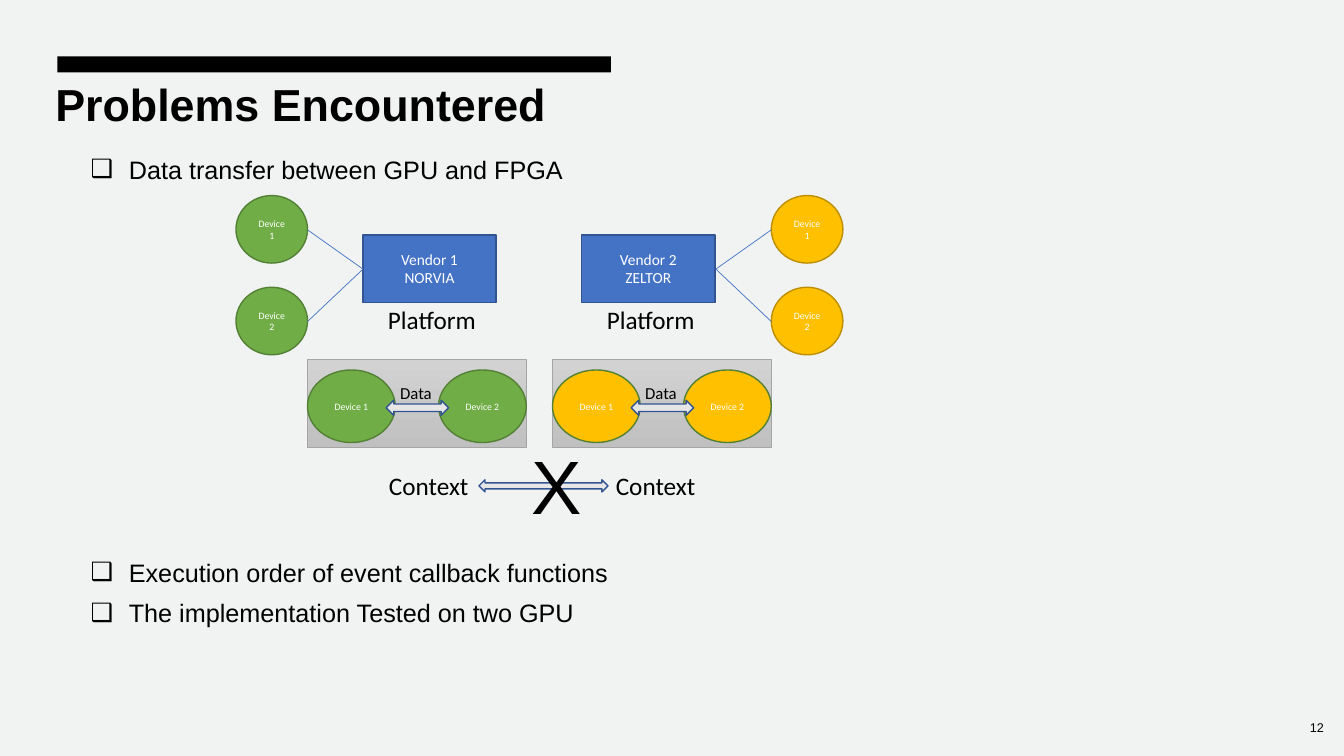
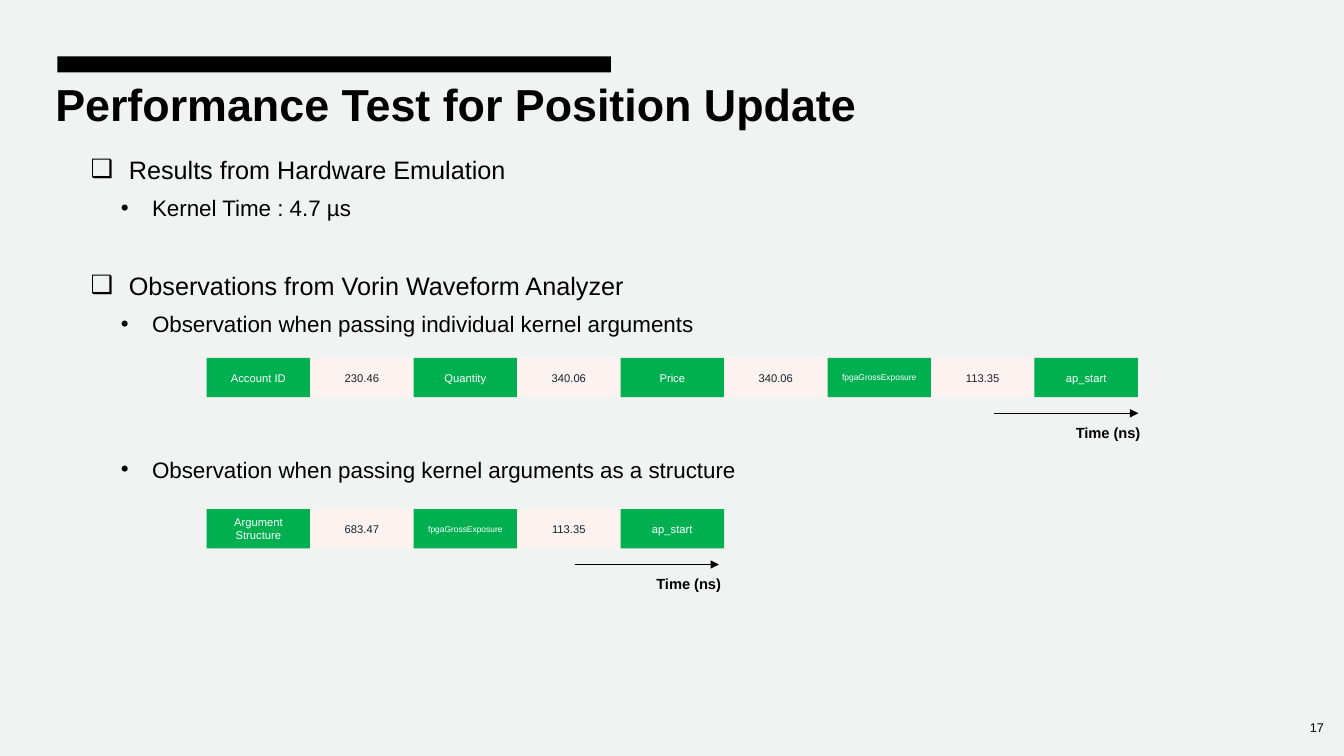
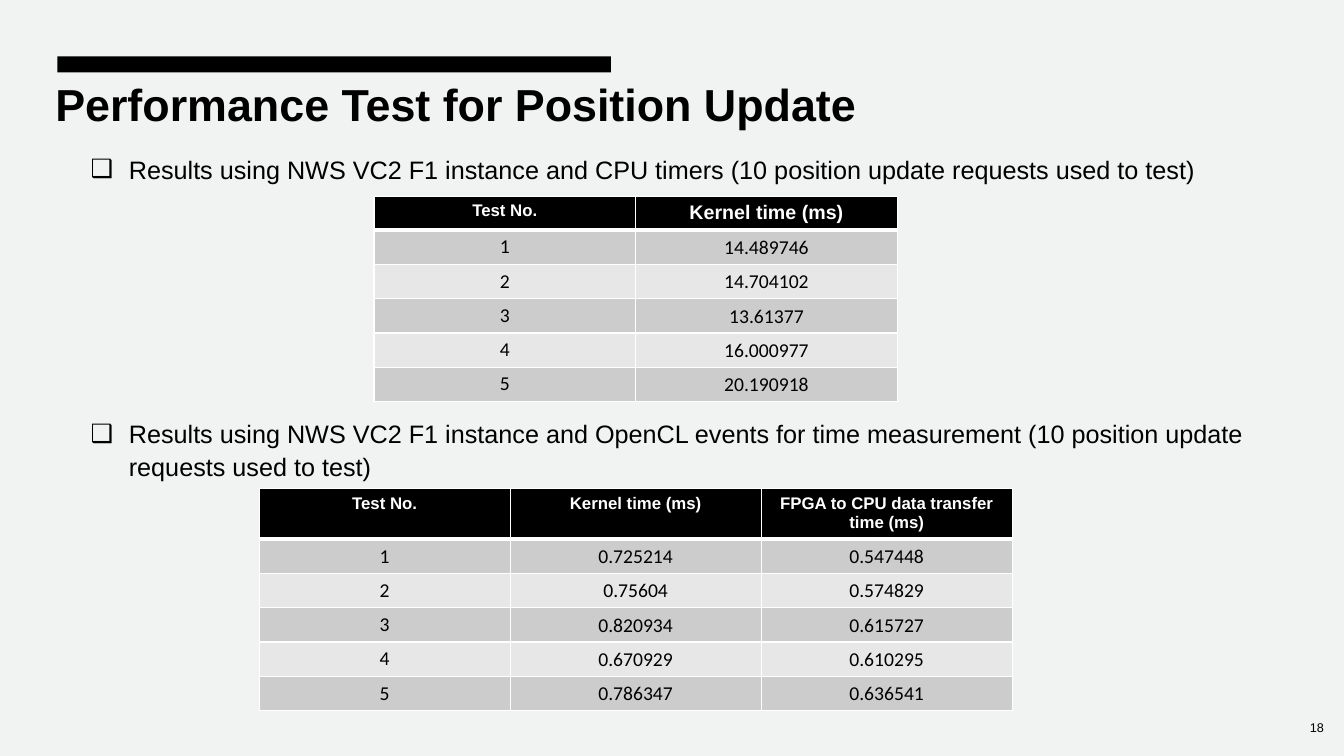
from lxml import etree
from pptx import Presentation
from pptx import util as u
from pptx.dml import color as dml
from pptx.enum import shapes, text
from pptx.oxml import ns

COLORS = {
    "page": "F0F3F1", "ink": "000000", "paper": "FFFFFF",
    "vendor": "4472C4", "vendor_edge": "325491", "arrow": "E7E6E6",
    "gpu": "70AD47", "gpu_edge": "538035",
    "fpga": "FFC000", "fpga_edge": "BD8E00",
    "frame_top": "D2D2D2", "frame_bottom": "C0C0C0", "frame_edge": "A5A5A5",
    "signal": "00B050", "delay": "FCF3F1", "delay_text": "16202C",
    "band_dark": "CCCCCC", "band_light": "E7E7E7",
}
FORMS = shapes.MSO_SHAPE
ALIGN = text.PP_ALIGN
ANCHOR = text.MSO_ANCHOR
BULLETS = {1: ("❑", 18, 0.68, -0.38), 2: ("•", 16, 0.91, -0.31)}
STEP = 8.21 / 8


def rgb(name):
    return dml.RGBColor.from_string(COLORS[name])


def inches(*lengths):
    return [u.Inches(length) for length in lengths]


def write(frame, content, size=18, font="Arial", color="ink", bold=False,
          align=ALIGN.LEFT, anchor=ANCHOR.TOP, wrap=True, spacing=None, inset=None):
    frame.word_wrap = wrap
    frame.vertical_anchor = anchor
    if inset is not None:
        frame.margin_left = frame.margin_right = u.Inches(inset)
        frame.margin_top = frame.margin_bottom = u.Inches(inset)
    for index, line in enumerate(content.split("\n")):
        paragraph = frame.paragraphs[0] if index == 0 else frame.add_paragraph()
        paragraph.alignment = align
        if spacing:
            paragraph.line_spacing = spacing
        run = paragraph.add_run()
        run.text = line
        run.font.size = u.Pt(size)
        run.font.name = font
        run.font.bold = bold
        run.font.color.rgb = rgb(color)


def label(slide, content, at, **style):
    box = slide.shapes.add_textbox(*inches(*at))
    write(box.text_frame, content, **style)


def block(slide, form, at, fill, edge=None, weight=1, content=None, **style):
    shape = slide.shapes.add_shape(form, *inches(*at))
    shape.shadow.inherit = False
    if isinstance(fill, tuple):
        shape.fill.gradient()
        shape.fill.gradient_angle = 270
        for stop, name in zip(shape.fill.gradient_stops, fill):
            stop.color.rgb = rgb(name)
    else:
        shape.fill.solid()
        shape.fill.fore_color.rgb = rgb(fill)
    if edge:
        shape.line.color.rgb = rgb(edge)
        shape.line.width = u.Pt(weight)
    else:
        shape.line.fill.background()
    if content:
        style = {"color": "paper", "align": ALIGN.CENTER, "anchor": ANCHOR.MIDDLE, **style}
        write(shape.text_frame, content, **style)


def link(slide, start, end, color, arrow=False):
    line = slide.shapes.add_connector(shapes.MSO_CONNECTOR.STRAIGHT, *inches(*start, *end))
    line.line.color.rgb = rgb(color)
    line.line.width = u.Pt(0.5)
    if arrow:
        etree.SubElement(line.line._get_or_add_ln(), ns.qn("a:tailEnd"), type="triangle")
    etree.SubElement(line._element.spPr, ns.qn("a:effectLst"))


def bullet_list(slide, items):
    frame = slide.shapes.add_textbox(*inches(0.5, 1.45, 12.33, 6.05)).text_frame
    for level, _, content in items:
        write(frame, content, size=BULLETS[level][1], spacing=1.1) \
            if not frame.text else add_item(frame, content, BULLETS[level][1])
    for paragraph, (level, gap, _) in zip(frame.paragraphs, items):
        mark, _, margin, indent = BULLETS[level]
        paragraph.space_before = u.Pt(gap)
        properties = paragraph._p.get_or_add_pPr()
        properties.set("marL", str(u.Inches(margin)))
        properties.set("indent", str(u.Inches(indent)))
        etree.SubElement(properties, ns.qn("a:buFont"), typeface="Arial")
        etree.SubElement(properties, ns.qn("a:buChar"), char=mark)


def add_item(frame, content, size):
    paragraph = frame.add_paragraph()
    paragraph.line_spacing = 1.1
    run = paragraph.add_run()
    run.text = content
    run.font.size = u.Pt(size)
    run.font.name = "Arial"
    run.font.color.rgb = rgb("ink")


def new_slide(deck, title, number, items):
    slide = deck.slides.add_slide(deck.slide_layouts[6])
    block(slide, FORMS.RECTANGLE, (0.57, 0.56, 5.49, 0.16), "ink")
    label(slide, title, (0.45, 0.71, 9.8, 0.81), size=32, bold=True)
    label(slide, number, (12.53, 7.02, 0.7, 0.4), size=9,
          align=ALIGN.RIGHT, anchor=ANCHOR.MIDDLE)
    bullet_list(slide, items)
    return slide


def device(slide, number, at, kind, edge):
    block(slide, FORMS.OVAL, at, kind, edge, content=f"Device {number}",
          size=7, font="Calibri")


def double_arrow(slide, at):
    block(slide, FORMS.LEFT_RIGHT_ARROW, at, "arrow", "vendor_edge")


def platform(slide, kind, vendor, vendor_left, device_left, vendor_side, device_side):
    block(slide, FORMS.RECTANGLE, (vendor_left, 2.33, 1.32, 0.67), "vendor", "vendor_edge",
          content=vendor, size=11, font="Calibri")
    for number, top in enumerate((1.94, 2.85), 1):
        device(slide, number, (device_left, top, 0.71, 0.67), kind, kind + "_edge")
        link(slide, (device_side, top + 0.34), (vendor_side, 2.67), "vendor")
    label(slide, "Platform", (vendor_left + 0.15, 2.97, 1.17, 0.4), font="Calibri")


def context(slide, kind, left, name_left):
    block(slide, FORMS.RECTANGLE, (left, 3.57, 2.17, 0.87),
          ("frame_top", "frame_bottom"), "frame_edge", 0.5)
    for number, offset in enumerate((0, 1.3), 1):
        device(slide, number, (left + offset, 3.67, 0.87, 0.72), kind, "gpu_edge")
    label(slide, "Data", (left + 0.82, 3.75, 0.52, 0.3), size=12, font="Calibri", wrap=False)
    double_arrow(slide, (left + 0.78, 3.97, 0.62, 0.15))
    label(slide, "Context", (name_left, 4.62, 1, 0.4), font="Calibri")


def timeline(slide, top, stages, arrow_left):
    for index, stage in enumerate(stages):
        fill, ink = ("delay", "delay_text") if index % 2 else ("signal", "paper")
        size = 6 if stage == "fpgaGrossExposure" else 8
        block(slide, FORMS.RECTANGLE, (2.05 + index * STEP, top, STEP, 0.39), fill,
              content=stage, size=size, color=ink)
    axis = top + 0.55
    label(slide, "Time (ns)", (arrow_left + 0.81, axis, 0.76, 0.39), size=10.5,
          bold=True, spacing=u.Pt(20), inset=0)
    link(slide, (arrow_left, axis), (arrow_left + 1.43, axis), "ink", arrow=True)


def border(cell, bottom):
    properties = cell._tc.get_or_add_tcPr()
    for side, points in (("L", 1), ("R", 1), ("T", 1), ("B", bottom)):
        edge = etree.SubElement(properties, ns.qn("a:ln" + side), w=str(u.Pt(points)))
        fill = etree.SubElement(edge, ns.qn("a:solidFill"))
        etree.SubElement(fill, ns.qn("a:srgbClr"), val=COLORS["paper"])


def fill_cell(cell, content, row, column, header_size):
    border(cell, 1 if row else 3)
    cell.fill.solid()
    if row == 0:
        cell.fill.fore_color.rgb = rgb("ink")
        style = {"size": header_size, "color": "paper", "bold": True}
    else:
        cell.fill.fore_color.rgb = rgb("band_dark" if row % 2 else "band_light")
        style = {"size": 14, "font": "Calibri"}
    if row and column:
        cell.vertical_anchor = ANCHOR.MIDDLE
        cell.margin_left = cell.margin_right = cell.margin_top = u.Inches(0.01)
        cell.margin_bottom = 0
    anchor = cell.vertical_anchor or ANCHOR.TOP
    write(cell.text_frame, content, align=ALIGN.CENTER, anchor=anchor, **style)


def results(slide, at, header_height, header_sizes, headers, *measures):
    rows = [headers] + [(str(number), *values)
                        for number, values in enumerate(zip(*measures), 1)]
    table = slide.shapes.add_table(len(rows), len(headers), *inches(*at)).table
    for row, values in enumerate(rows):
        table.rows[row].height = u.Inches(0.34 if row else header_height)
        for column, value in enumerate(values):
            fill_cell(table.cell(row, column), value, row, column, header_sizes[column])


def problems(deck):
    slide = new_slide(deck, "Problems Encountered", "12", [
        (1, 5, "Data transfer between GPU and FPGA"),
        (1, 264, "Execution order of event callback functions"),
        (1, 5, "The implementation Tested on two GPU"),
    ])
    platform(slide, "gpu", "Vendor 1\nNORVIA", 3.6, 2.34, 3.6, 3.05)
    platform(slide, "fpga", "Vendor 2\nZELTOR", 5.77, 7.65, 7.1, 7.65)
    context(slide, "gpu", 3.05, 3.76)
    context(slide, "fpga", 5.48, 6.01)
    double_arrow(slide, (4.75, 4.76, 1.28, 0.12))
    label(slide, "X", (5.17, 4.3, 0.7, 1.01), size=54, align=ALIGN.CENTER, wrap=False)


def emulation(deck):
    slide = new_slide(deck, "Performance Test for Position Update", "17", [
        (1, 5, "Results from Hardware Emulation"),
        (2, 5, "Kernel Time : 4.7 µs"),
        (1, 33, "Observations from Vorin Waveform Analyzer"),
        (2, 5, "Observation when passing individual kernel arguments"),
        (2, 83, "Observation when passing kernel arguments as a structure"),
    ])
    timeline(slide, 3.55, ["Account ID", "230.46", "Quantity", "340.06", "Price", "340.06",
                           "fpgaGrossExposure", "113.35", "ap_start"], 9.86)
    timeline(slide, 5.05, ["Argument Structure", "683.47", "fpgaGrossExposure",
                           "113.35", "ap_start"], 5.7)


def measurements(deck):
    slide = new_slide(deck, "Performance Test for Position Update", "18", [
        (1, 5, "Results using NWS VC2 F1 instance and CPU timers "
               "(10 position update requests used to test)"),
        (1, 165, "Results using NWS VC2 F1 instance and OpenCL events for time measurement "
                 "(10 position update requests used to test)"),
    ])
    results(slide, (3.71, 1.95, 5.19, 2), 0.33, (12, 14),
            ("Test No.", "Kernel time (ms)"),
            ("14.489746", "14.704102", "13.61377", "16.000977", "20.190918"))
    results(slide, (2.57, 4.85, 7.47, 2.17), 0.48, (12, 12, 12),
            ("Test No.", "Kernel time (ms)", "FPGA to CPU data transfer time (ms)"),
            ("0.725214", "0.75604", "0.820934", "0.670929", "0.786347"),
            ("0.547448", "0.574829", "0.615727", "0.610295", "0.636541"))


def main():
    deck = Presentation()
    deck.slide_width, deck.slide_height = inches(13.33, 7.5)
    background = deck.slide_master.background.fill
    background.solid()
    background.fore_color.rgb = rgb("page")
    problems(deck)
    emulation(deck)
    measurements(deck)
    deck.save("out.pptx")


if __name__ == "__main__":
    main()
